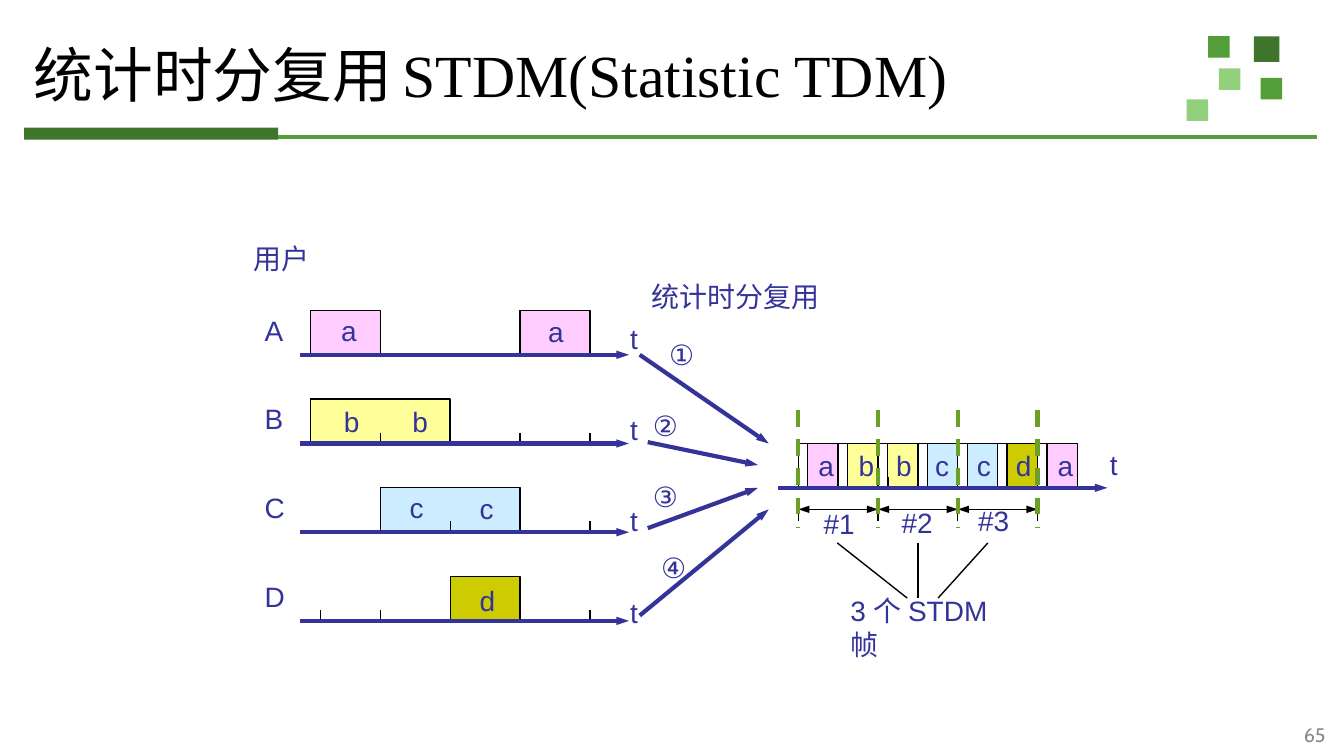
from lxml import etree
from pptx import Presentation
from pptx.dml.color import RGBColor
from pptx.enum.dml import MSO_LINE
from pptx.enum.shapes import MSO_CONNECTOR, MSO_SHAPE
from pptx.enum.text import MSO_ANCHOR, MSO_AUTO_SIZE, PP_ALIGN
from pptx.oxml.ns import qn
from pptx.util import Inches, Pt

STRAIGHT = MSO_CONNECTOR.STRAIGHT
RECTANGLE = MSO_SHAPE.RECTANGLE
DASH = MSO_LINE.DASH
MIDDLE = MSO_ANCHOR.MIDDLE
FIT, NO_FIT = MSO_AUTO_SIZE.SHAPE_TO_FIT_TEXT, MSO_AUTO_SIZE.NONE
LEFT, RIGHT = PP_ALIGN.LEFT, PP_ALIGN.RIGHT

COLORS = {
    "ink": "333399", "black": "000000", "gray": "898989", "dash": "6B9F25",
    "dark": "3F762B", "green": "549E39", "light": "93D07D",
    "a": "FFCCFF", "b": "FFFF99", "c": "CCECFF", "d": "CCCC00",
}


def rgb(name):
    return RGBColor.from_string(COLORS[name])


class SlidePainter:
    def __init__(self, slide):
        self.slide = slide
        self.shapes = slide.shapes

    def title(self, spans, left, top, width, height):
        box = self.shapes.title
        box.left, box.top = Inches(left), Inches(top)
        box.width, box.height = Inches(width), Inches(height)
        frame = box.text_frame
        frame.auto_size, frame.vertical_anchor = NO_FIT, MIDDLE
        frame.margin_left = frame.margin_right = Inches(0.07)
        frame.margin_top = frame.margin_bottom = Inches(0.04)
        para = frame.paragraphs[0]
        para.alignment, para.line_spacing = LEFT, 0.9
        para.font.name, para.font.color.rgb = "Times New Roman", rgb("black")
        for text, size in spans:
            span = para.add_run()
            span.text, span.font.size = text, Pt(size)

    def label(self, text, left, top, width=0.32, height=0.35, size=15,
              font="Arial", color="ink", align=LEFT, wrap=False):
        box = self.shapes.add_textbox(Inches(left), Inches(top),
                                      Inches(width), Inches(height))
        frame = box.text_frame
        frame.word_wrap = wrap
        frame.auto_size = NO_FIT if wrap else FIT
        para = frame.paragraphs[0]
        para.text, para.alignment = text, align
        para.font.size, para.font.name = Pt(size), font
        para.font.color.rgb = rgb(color)
        return box

    def rectangle(self, left, top, width, height, color):
        shape = self.shapes.add_shape(RECTANGLE, Inches(left), Inches(top),
                                      Inches(width), Inches(height))
        shape.shadow.inherit = False
        shape.fill.solid()
        shape.fill.fore_color.rgb = rgb(color)
        shape.line.fill.background()

    def pulse(self, left, base, width, color=None, height=0.33):
        """Block outlined on three sides, open along the time axis."""
        right, top = left + width, base - height
        builder = self.shapes.build_freeform(Inches(left), Inches(base))
        corners = [(left, top), (right, top), (right, base)]
        builder.add_line_segments([(Inches(x), Inches(y)) for x, y in corners],
                                  close=False)
        shape = builder.convert_to_shape()
        shape.shadow.inherit = False
        if color:
            shape.fill.solid()
            shape.fill.fore_color.rgb = rgb(color)
        else:
            shape.fill.background()
        shape.line.color.rgb, shape.line.width = rgb("black"), Pt(0.75)

    def line(self, x1, y1, x2, y2, color="black", width=0.75, ends=(), dash=None):
        connector = self.shapes.add_connector(
            STRAIGHT, Inches(x1), Inches(y1), Inches(x2), Inches(y2))
        connector.line.color.rgb, connector.line.width = rgb(color), Pt(width)
        if dash:
            connector.line.dash_style = dash
        outline = connector.line._get_or_add_ln()
        for end in ends:
            etree.SubElement(outline, qn("a:" + end), type="triangle",
                             w="sm", len="med")
        etree.SubElement(connector._element.spPr, qn("a:effectLst"))

    def arrow(self, x1, y1, x2, y2):
        self.line(x1, y1, x2, y2, "ink", 2.25, ["tailEnd"])


def draw_frame(painter):
    # Corner squares and the rule under the title
    for left, top, side, color in [
            (9.33, 0.27, 0.19, "dark"), (8.99, 0.27, 0.16, "green"),
            (9.38, 0.58, 0.16, "green"), (9.07, 0.51, 0.16, "light"),
            (8.83, 0.74, 0.16, "light")]:
        painter.rectangle(left, top, side, side, color)
    painter.rectangle(0.18, 0.95, 1.89, 0.09, "dark")
    painter.line(2.07, 1.02, 9.8, 1.02, "green", 2)
    painter.title([("统计时分复用", 32), (" ", 24), ("STDM(Statistic TDM)", 32)],
                  0.18, 0.24, 8.39, 0.69)
    number = painter.label("65", 9.38, 5.32, 0.58, 0.3, 10.5, "Cabin", "gray",
                           RIGHT, wrap=True)
    number.text_frame.vertical_anchor = MIDDLE


def draw_users(painter):
    # One row per user: blocks (first slot, slots), letters, tick positions
    slot = 0.52
    start = 2.31
    users = [
        ("a", [(0, 1), (3, 1)], [(2.44, 2.28), (3.98, 2.29)], []),
        ("b", [(0, 2)], [(2.46, 2.96), (2.97, 2.96)], [1, 3, 4]),
        ("c", [(1, 2)], [(2.95, 3.6), (3.47, 3.61)], [2, 4]),
        ("d", [(2, 1)], [(3.47, 4.29)], [0.14, 1, 4]),
    ]
    painter.label("用户", 1.79, 1.75, 0.62)
    for row, (letter, blocks, spots, ticks) in enumerate(users):
        base = 2.64 + 0.66 * row
        for first, count in blocks:
            painter.pulse(start + first * slot, base, count * slot, letter)
        for tick in ticks:
            x = start + tick * slot
            painter.line(x, base - 0.08, x, base)
        for left, top in spots:
            painter.label(letter, left, top)
        painter.label(letter.upper(), 1.87, base - 0.36, 0.34)
        painter.label("t", 4.59, 2.34 + 0.68 * row, 0.26)
        painter.arrow(2.23, base, 4.68, base)


def draw_merging(painter):
    # Numbered arrows from the users to the shared line
    painter.label("统计时分复用", 4.75, 2.03, 1.46)
    for ends, mark, left, top in [
            ((4.76, 2.64, 5.72, 3.3), "①", 4.88, 2.46),
            ((4.82, 3.29, 5.64, 3.46), "②", 4.76, 2.99),
            ((4.82, 3.93, 5.64, 3.63), "③", 4.76, 3.52),
            ((4.76, 4.58, 5.72, 3.79), "④", 4.82, 4.05)]:
        painter.arrow(*ends)
        painter.label(mark, left, top, 0.41)


def draw_shared_line(painter):
    start, base, gap = 5.94, 3.63, 0.07
    step = 1.78 / 6
    # Address gap followed by a data block in every slot
    letter_lefts = [5.99, 6.29, 6.57, 6.86, 7.17, 7.46, 7.77]
    for index, (letter, letter_left) in enumerate(zip("abbccda", letter_lefts)):
        left = start + index * step
        painter.pulse(left + gap, base, step - gap, letter)
        painter.pulse(left, base, gap)
        painter.label(letter, letter_left, 3.29)
    for x in (6.61, 6.83, 7.72):
        painter.line(x, base - 0.08, x, base)
    painter.arrow(5.79, base, 8.24, base)
    painter.label("t", 8.16, 3.28, 0.26)

    # Frame spans and boundaries, two slots each
    frame_width = 2 * step
    for index, (left, top) in enumerate([(6.03, 3.72), (6.61, 3.71), (7.18, 3.7)]):
        x = start + index * frame_width
        painter.line(x, 3.79, x + frame_width, 3.79, ends=["headEnd", "tailEnd"])
        painter.label(f"#{index + 1}", left, top, 0.44)
    for index in range(4):
        x = start + index * frame_width
        painter.line(x, 3.71, x, 3.88)
        painter.line(x, 3.05, x, 3.93, "dash", 2.25, dash=DASH)

    # Callout for the three frames
    for x1, x2 in [(6.23, 6.75), (6.83, 6.83), (7.35, 6.98)]:
        painter.line(x1, 4.04, x2, 4.45)
    painter.label("3 个 STDM 帧", 6.23, 4.37, 1.4, wrap=True)


def main():
    deck = Presentation()
    deck.slide_width = Inches(10)
    deck.slide_height = deck.slide_width * 9 // 16
    painter = SlidePainter(deck.slides.add_slide(deck.slide_layouts[5]))
    draw_frame(painter)
    draw_users(painter)
    draw_merging(painter)
    draw_shared_line(painter)
    deck.save("out.pptx")


if __name__ == "__main__":
    main()
